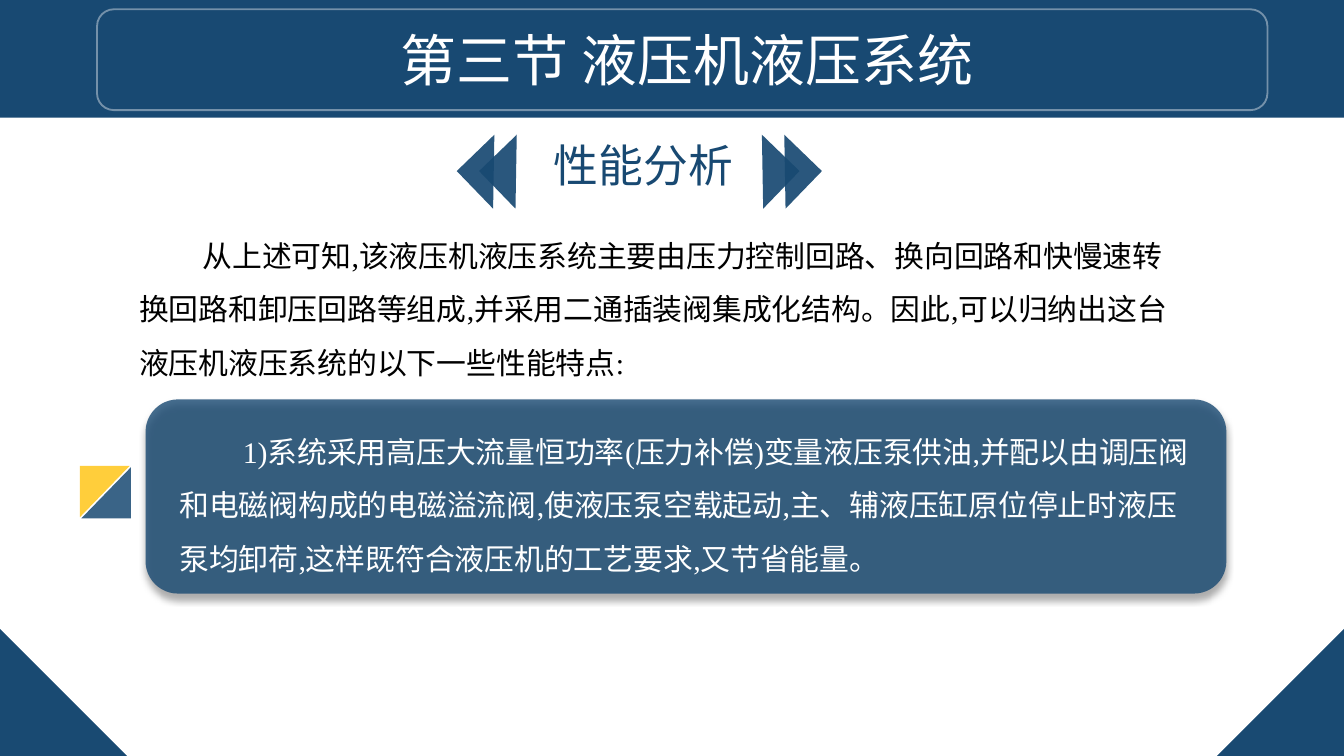
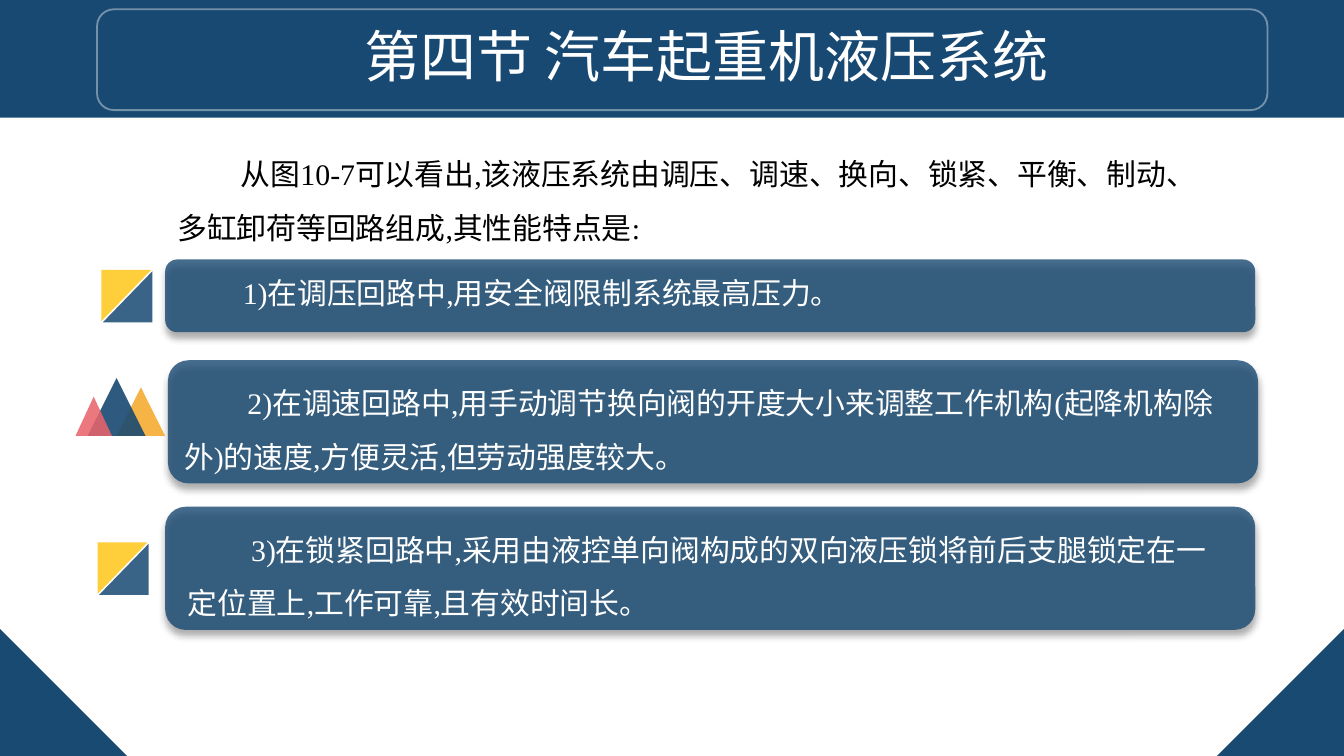
from lxml.etree import SubElement
from pptx import Presentation
from pptx.dml.color import RGBColor
from pptx.enum.shapes import MSO_SHAPE
from pptx.enum.text import MSO_ANCHOR, MSO_AUTO_SIZE, PP_ALIGN
from pptx.oxml.ns import qn
from pptx.util import Pt

# Shared style
NAVY, YELLOW, ORANGE, PINK = "184972", "FFC000", "F49F14", "E8646B"
WHITE, BLACK = "FFFFFF", "000000"
FONT = "Times New Roman"
WIDTH, HEIGHT = 720, 405
BAND_H, CORNER = 63, 68
FRAME = (52, 5, 627, 54)

# Content: boxes are left, top, width, height in points
SLIDES = [
    {
        "title": ("第三节 液压机液压系统", (67.5, 10, 601, 44)),
        "heading": ("性能分析", (268, 83, 132.5, 24.5)),
        "intro": ("从上述可知,该液压机液压系统主要由压力控制回路、换向回路和快慢速转换回路和"
                  "卸压回路等组成,并采用二通插装阀集成化结构。因此,可以归纳出这台液压机液压系统的"
                  "以下一些性能特点:", (67.5, 114, 575, 91)),
        "points": [
            {"text": "1)系统采用高压大流量恒功率(压力补偿)变量液压泵供油,并配以由调压阀和电磁阀"
                     "构成的电磁溢流阀,使液压泵空载起动,主、辅液压缸原位停止时液压泵均卸荷,"
                     "这样既符合液压机的工艺要求,又节省能量。",
             "card": (78, 214, 579, 104), "box": (89, 219, 563, 91),
             "spacing": 1.5, "square": (42.5, 250)},
        ],
    },
    {
        "title": ("第四节 汽车起重机液压系统", (78, 8, 601, 44)),
        "intro": ("从图10-7可以看出,该液压系统由调压、调速、换向、锁紧、平衡、制动、多缸卸荷等"
                  "回路组成,其性能特点是:", (88, 70.5, 572, 62)),
        "points": [
            {"text": "1)在调压回路中,用安全阀限制系统最高压力。",
             "card": (88.5, 139, 584, 39), "box": (89, 151, 511, 20),
             "spacing": Pt(12), "square": (54, 145)},
            {"text": "2)在调速回路中,用手动调节换向阀的开度大小来调整工作机构(起降机构除外)的速度,"
                     "方便灵活,但劳动强度较大。",
             "card": (90, 193, 584, 66), "box": (91.5, 193, 578, 62),
             "spacing": 1.5, "peaks": 233.5},
            {"text": "3)在锁紧回路中,采用由液控单向阀构成的双向液压锁将前后支腿锁定在一定位置上,"
                     "工作可靠,且有效时间长。",
             "card": (88.5, 271.5, 584, 66), "box": (93.5, 271.5, 572, 62),
             "spacing": 1.5, "square": (52, 291)},
        ],
    },
]

# Chevron triangles: lefts, rotation, flips
CHEVRONS = [((250.5, 262.5), 316, "V"), ((394.5, 406.5), 44, "HV")]
CHEVRON_TOP, CHEVRON_SIZE = 78, 28

# Peaks, back to front: left, width, height, colour, opacity
PEAKS = [(62.5, 26, 26, ORANGE, 78), (47, 31, 31, NAVY, 90), (40.5, 19.5, 21, PINK, 87)]


def rgb(color):
    return RGBColor.from_string(color)


def pts(box):
    return [Pt(v) for v in box]


def add_shape(shapes, kind, box, fill=None, line=None, alpha=100, rot=0, flip=""):
    sp = shapes.add_shape(kind, *pts(box))
    sp.shadow.inherit = False
    sp.rotation = rot
    for axis in flip:
        sp.element.spPr.xfrm.set("flip" + axis, "1")
    if fill:
        sp.fill.solid()
        sp.fill.fore_color.rgb = rgb(fill)
    else:
        sp.fill.background()
    if line:
        sp.line.color.rgb = rgb(line)
        sp.line.width = Pt(1)
    else:
        sp.line.fill.background()
    if alpha < 100:
        for clr in sp.element.spPr.iter(qn("a:srgbClr")):
            SubElement(clr, qn("a:alpha"), val=str(alpha * 1000))
    return sp


def write(sp, text, size=16, color=BLACK, align=None, indent=0, spacing=None, wrap=True):
    tf = sp.text_frame
    tf.word_wrap = wrap
    tf.auto_size = MSO_AUTO_SIZE.SHAPE_TO_FIT_TEXT
    tf.vertical_anchor = MSO_ANCHOR.TOP
    p = tf.paragraphs[0]
    p.alignment = align
    if spacing:
        p.line_spacing = spacing
    if indent:
        p._p.get_or_add_pPr().set("indent", str(Pt(indent)))
    r = p.add_run()
    r.text = text
    r.font.name = FONT
    r.font.size = Pt(size)
    r.font.color.rgb = rgb(color)


def add_text(shapes, text, box, **fmt):
    write(shapes.add_textbox(*pts(box)), text, **fmt)


def add_corners(shapes):
    top = HEIGHT - CORNER
    return [add_shape(shapes, MSO_SHAPE.RIGHT_TRIANGLE, (left, top, CORNER, CORNER),
                      NAVY, alpha=92, rot=rot, flip="V")
            for left, rot in ((0, 270), (WIDTH - CORNER, 180))]


def dress_layout(layout, slide):
    """Draw the band and corners, then move them behind the layout's placeholders."""
    band = add_shape(slide.shapes, MSO_SHAPE.RECTANGLE, (0, 0, WIDTH, BAND_H), NAVY)
    for i, sp in enumerate([band] + add_corners(slide.shapes)):
        layout.shapes.element.insert(2 + i, sp.element)


def add_heading(shapes, text, box):
    for lefts, rot, flip in CHEVRONS:
        for left in lefts:
            add_shape(shapes, MSO_SHAPE.RIGHT_TRIANGLE,
                      (left, CHEVRON_TOP, CHEVRON_SIZE, CHEVRON_SIZE),
                      NAVY, alpha=92, rot=rot, flip=flip)
    add_text(shapes, text, box, size=24, color=NAVY, align=PP_ALIGN.CENTER,
             indent=21, spacing=Pt(15.8), wrap=False)


def add_square(shapes, left, top):
    grp = shapes.add_group_shape()
    for shift, color, alpha, flip in ((0.7, NAVY, 85, ""), (0, YELLOW, 77, "HV")):
        sp = add_shape(grp.shapes, MSO_SHAPE.ISOSCELES_TRIANGLE,
                       (left + shift, top + shift, 27.4, 26.6),
                       color, alpha=alpha, rot=270, flip=flip)
        sp.adjustments[0] = 0


def add_peaks(shapes, base):
    grp = shapes.add_group_shape()
    for left, w, h, color, alpha in PEAKS:
        add_shape(grp.shapes, MSO_SHAPE.ISOSCELES_TRIANGLE, (left, base - h, w, h),
                  color, alpha=alpha, flip="H")


def add_card(shapes, box):
    sp = add_shape(shapes, MSO_SHAPE.ROUNDED_RECTANGLE, box, NAVY, alpha=80)
    effects = sp.element.spPr.find(qn("a:effectLst"))
    shadow = SubElement(effects, qn("a:outerShdw"), blurRad=str(Pt(4)), dist=str(Pt(3)),
                        dir="5400000", algn="t", rotWithShape="0")
    clr = SubElement(shadow, qn("a:srgbClr"), val=BLACK)
    SubElement(clr, qn("a:alpha"), val="40000")


def add_point(shapes, point):
    add_card(shapes, point["card"])
    if "square" in point:
        add_square(shapes, *point["square"])
    if "peaks" in point:
        add_peaks(shapes, point["peaks"])
    add_text(shapes, point["text"], point["box"], color=WHITE, indent=34,
             spacing=point["spacing"])


def build_slide(slide, content):
    shapes = slide.shapes
    # Title and its frame
    text, box = content["title"]
    title = shapes.title
    title.left, title.top, title.width, title.height = pts(box)
    write(title, text, size=30, color=WHITE, align=PP_ALIGN.CENTER)
    add_shape(shapes, MSO_SHAPE.ROUNDED_RECTANGLE, FRAME, line=WHITE, alpha=40)
    add_corners(shapes)
    # Heading, introduction and numbered points
    if "heading" in content:
        add_heading(shapes, *content["heading"])
    add_text(shapes, *content["intro"], indent=34, spacing=1.5)
    for point in content["points"]:
        add_point(shapes, point)


def main():
    prs = Presentation()
    prs.slide_width, prs.slide_height = Pt(WIDTH), Pt(HEIGHT)
    layout = prs.slide_layouts[5]
    for i, content in enumerate(SLIDES):
        slide = prs.slides.add_slide(layout)
        if i == 0:
            dress_layout(layout, slide)
        build_slide(slide, content)
    prs.save("out.pptx")


if __name__ == "__main__":
    main()
